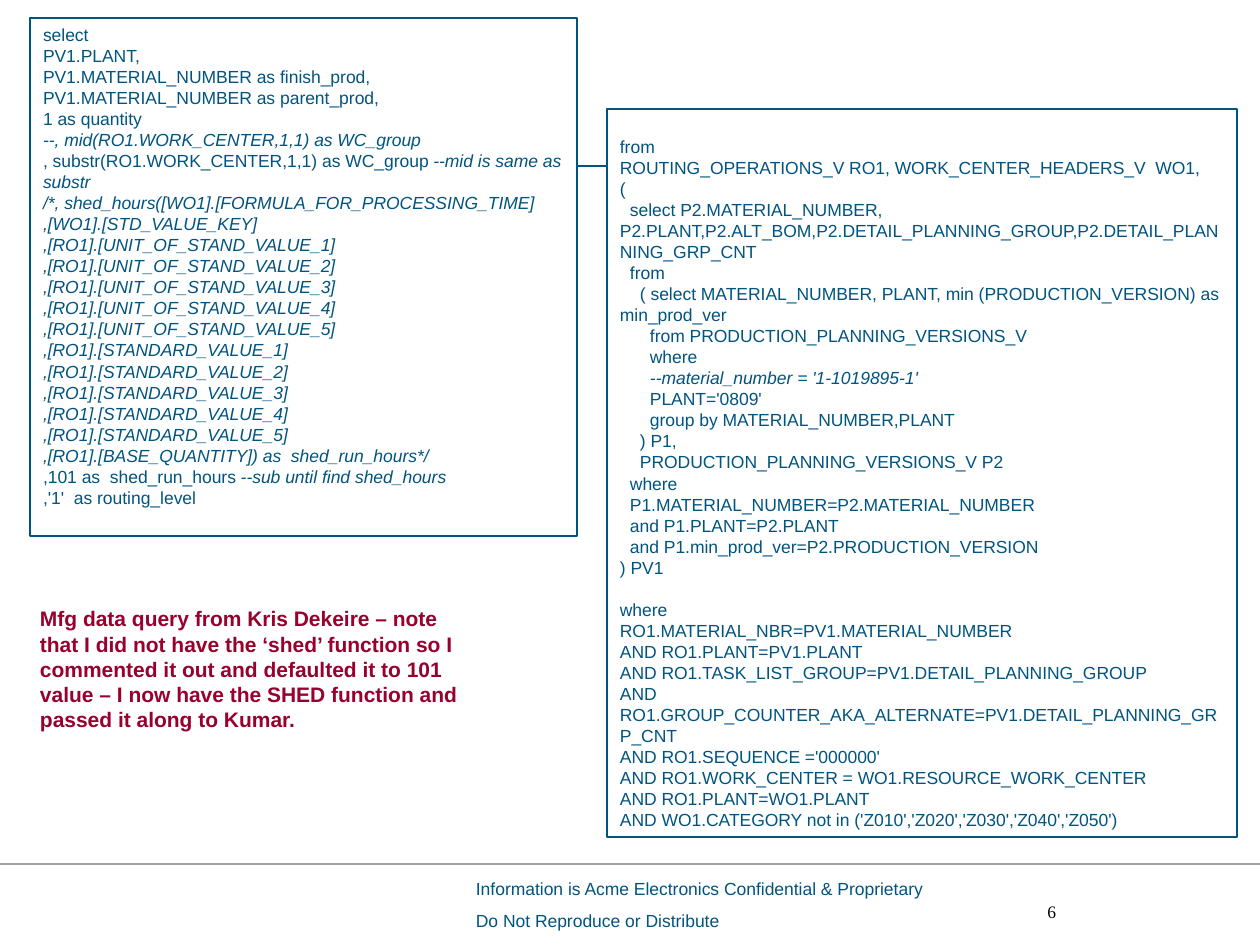
from dataclasses import dataclass

from pptx import Presentation
from pptx import util as u
from pptx.dml.color import RGBColor
from pptx.enum import shapes, text
from pptx.oxml.ns import qn

PX = 914400 // 126


@dataclass(frozen=True)
class Theme:
    blue: RGBColor = RGBColor(0x00, 0x54, 0x80)
    crimson: RGBColor = RGBColor(0x98, 0x00, 0x2E)
    grey: RGBColor = RGBColor(0xA2, 0xA2, 0xA2)
    white: RGBColor = RGBColor(0xFF, 0xFF, 0xFF)
    black: RGBColor = RGBColor(0x00, 0x00, 0x00)
    sans: str = "Arial"
    serif: str = "Times New Roman"
    body: int = 10
    note: int = 12
    line_height: int = 12


THEME = Theme()

SELECT_LINES = [
    "select",
    "PV1.PLANT,",
    "PV1.MATERIAL_NUMBER as finish_prod,",
    "PV1.MATERIAL_NUMBER as parent_prod,",
    "1 as quantity",
    "--, mid(RO1.WORK_CENTER,1,1) as WC_group",
    ", substr(RO1.WORK_CENTER,1,1) as WC_group --mid is same as substr",
    "/*, shed_hours([WO1].[FORMULA_FOR_PROCESSING_TIME]",
    ",[WO1].[STD_VALUE_KEY]",
    *[f",[RO1].[{field}_{number}]"
      for field in ("UNIT_OF_STAND_VALUE", "STANDARD_VALUE") for number in range(1, 6)],
    ",[RO1].[BASE_QUANTITY]) as  shed_run_hours*/",
    ",101 as  shed_run_hours --sub until find shed_hours",
    ",'1'  as routing_level",
]

FROM_LINES = [
    "from",
    "ROUTING_OPERATIONS_V RO1, WORK_CENTER_HEADERS_V  WO1,",
    "(",
    "  select P2.MATERIAL_NUMBER, "
    "P2.PLANT,P2.ALT_BOM,P2.DETAIL_PLANNING_GROUP,P2.DETAIL_PLANNING_GRP_CNT",
    "  from",
    "    ( select MATERIAL_NUMBER, PLANT, min (PRODUCTION_VERSION) as min_prod_ver",
    "      from PRODUCTION_PLANNING_VERSIONS_V",
    "      where",
    "      --material_number = '1-1019895-1'",
    "      PLANT='0809'",
    "      group by MATERIAL_NUMBER,PLANT",
    "    ) P1,",
    "    PRODUCTION_PLANNING_VERSIONS_V P2",
    "  where",
    "  P1.MATERIAL_NUMBER=P2.MATERIAL_NUMBER",
    "  and P1.PLANT=P2.PLANT",
    "  and P1.min_prod_ver=P2.PRODUCTION_VERSION",
    ") PV1",
    "",
    "where",
    "RO1.MATERIAL_NBR=PV1.MATERIAL_NUMBER",
    "AND RO1.PLANT=PV1.PLANT",
    "AND RO1.TASK_LIST_GROUP=PV1.DETAIL_PLANNING_GROUP",
    "AND RO1.GROUP_COUNTER_AKA_ALTERNATE=PV1.DETAIL_PLANNING_GRP_CNT",
    "AND RO1.SEQUENCE ='000000'",
    "AND RO1.WORK_CENTER = WO1.RESOURCE_WORK_CENTER",
    "AND RO1.PLANT=WO1.PLANT",
    "AND WO1.CATEGORY not in ('Z010','Z020','Z030','Z040','Z050')",
]

NOTE = ("Mfg data query from Kris Dekeire – note that I did not have the ‘shed’ function "
        "so I commented it out and defaulted it to 101 value – I now have the SHED function "
        "and passed it along to Kumar.")
FOOTER = ["Information is Acme Electronics Confidential & Proprietary",
          "Do Not Reproduce or Distribute"]


def px(*lengths):
    return [length * PX for length in lengths]


def style(font, color, size=THEME.body, face=THEME.sans, bold=False):
    font.name, font.size, font.bold = face, u.Pt(size), bold
    font.color.rgb = color


def set_up_frame(frame, side=13, top=6):
    frame.word_wrap = True
    frame.vertical_anchor = text.MSO_ANCHOR.TOP
    frame.margin_left = frame.margin_right = side * PX
    frame.margin_top, frame.margin_bottom = px(top, 6)


def add_rule(slide, left, right, y, color):
    rule = slide.shapes.add_connector(shapes.MSO_CONNECTOR.STRAIGHT, *px(left, y, right, y))
    rule.line.color.rgb = color
    rule.line.width = u.Pt(1.5)
    properties = rule._element.spPr
    properties.append(properties.makeelement(qn("a:effectLst"), {}))


def add_text(slide, box, lines, color, side=13, align=text.PP_ALIGN.LEFT, gap=0, **font):
    frame = slide.shapes.add_textbox(*px(*box)).text_frame
    set_up_frame(frame, side)
    frame.text = "\n".join(lines)
    for paragraph in frame.paragraphs:
        paragraph.alignment = align
        paragraph.space_before = u.Pt(gap)
        style(paragraph.font, color, **font)


def split_comments(sql_lines):
    """Yield, per line, its depth in spaces and its (words, is_comment) parts."""
    in_block = False
    for line in sql_lines:
        words = line.lstrip()
        in_block = in_block or words.startswith("/*")
        if in_block:
            parts = [(words, True)]
        else:
            code, dashes, comment = words.partition("--")
            parts = [(code, False), (dashes + comment, True)]
        yield len(line) - len(words), [part for part in parts if part[0]]
        in_block = in_block and not words.endswith("*/")


def add_sql_panel(slide, box, sql_lines, top=6):
    """Frame a query: comments in italics, nesting as first-line indents, empty lines as spacing."""
    panel = slide.shapes.add_shape(shapes.MSO_SHAPE.RECTANGLE, *px(*box))
    panel.shadow.inherit = False
    panel.fill.solid()
    panel.fill.fore_color.rgb = THEME.white
    panel.line.color.rgb = THEME.blue
    panel.line.width = u.Pt(0.75)
    frame = panel.text_frame
    set_up_frame(frame, top=top)
    paragraph, gap = frame.paragraphs[0], 0
    for depth, parts in split_comments(sql_lines):
        if not parts:
            gap = THEME.line_height
            continue
        if paragraph.runs:
            paragraph = frame.add_paragraph()
        paragraph.alignment = text.PP_ALIGN.LEFT
        paragraph.space_before, gap = u.Pt(gap), 0
        style(paragraph.font, THEME.blue)
        if depth:
            paragraph._p.get_or_add_pPr().set("indent", str(depth * 5 * PX))
        for words, is_comment in parts:
            run = paragraph.add_run()
            run.text = words
            if is_comment:
                run.font.italic = True


def main():
    deck = Presentation()
    deck.slide_width, deck.slide_height = px(1260, 945)
    slide = deck.slides.add_slide(deck.slide_layouts[6])

    add_rule(slide, 0, 1260, 864, THEME.grey)
    add_rule(slide, 64, 1205, 166, THEME.blue)
    add_text(slide, (463, 872, 629, 66), FOOTER, THEME.blue, gap=6.2)
    add_sql_panel(slide, (30, 18, 547, 518), SELECT_LINES)
    add_sql_panel(slide, (607, 109, 630, 728), FROM_LINES, top=27)
    add_text(slide, (27, 600, 464, 139), [NOTE], THEME.crimson, size=THEME.note, bold=True)
    add_text(slide, (976, 895, 80, 42), ["6"], THEME.black, side=0,
             align=text.PP_ALIGN.RIGHT, face=THEME.serif)

    deck.save("out.pptx")


if __name__ == "__main__":
    main()
